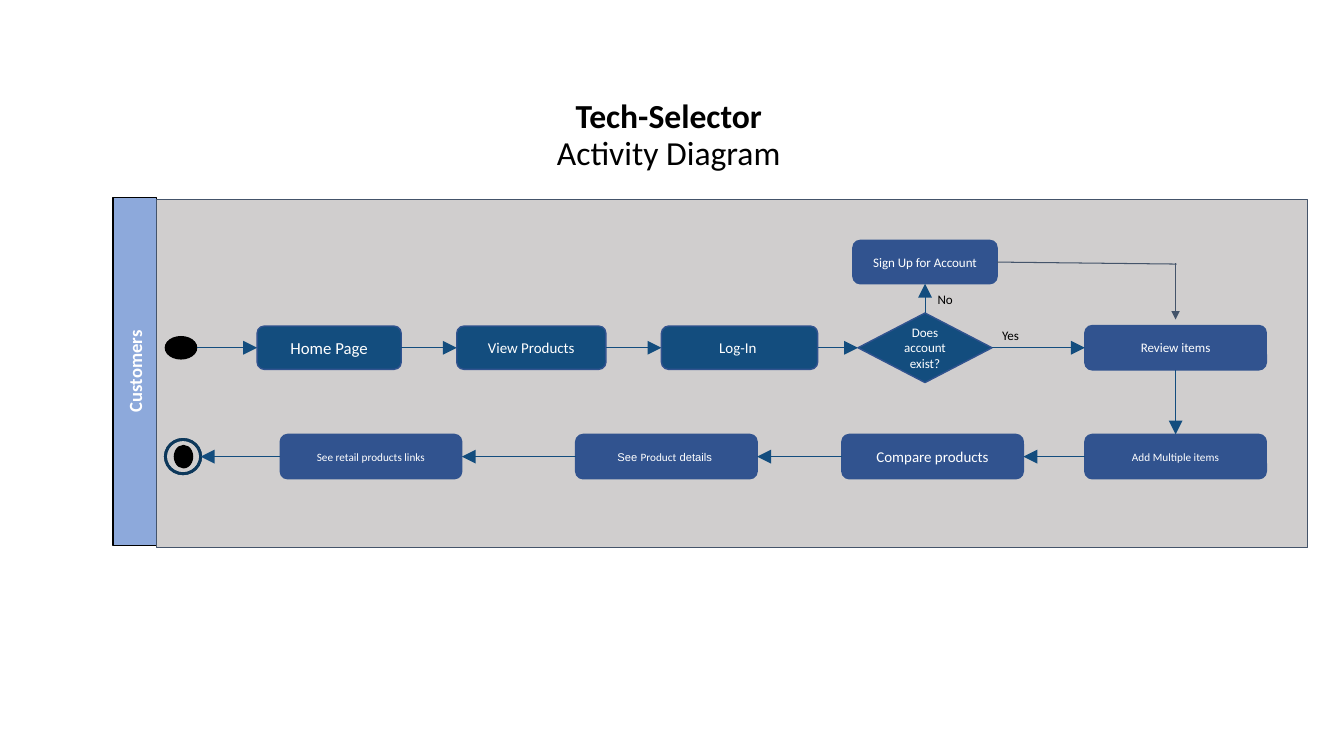
from lxml import etree
from pptx import Presentation
from pptx import util as u
from pptx.dml.color import RGBColor
from pptx.enum import shapes, text
from pptx.oxml import ns

Inches = u.Inches
Kind = shapes.MSO_SHAPE
Anchor = text.MSO_ANCHOR
DARK, BLUE, SLATE = "134D7E", "31538F", "44546A"
BLACK, WHITE = "000000", "FFFFFF"
TOP, LEFT, BOTTOM, RIGHT = range(4)


def color(code):
    """Turn a hex string into a colour."""
    return RGBColor.from_string(code)


def write(shape, runs, size=9.3, ink=WHITE, bold=False, font="Calibri",
          align=text.PP_ALIGN.CENTER, anchor=Anchor.MIDDLE, pad=(0.07, 0.03)):
    """Write a string, or (string, changes) runs, into a shape."""
    frame = shape.text_frame
    frame.word_wrap = True
    frame.auto_size = text.MSO_AUTO_SIZE.NONE
    frame.vertical_anchor = anchor
    frame.margin_left = frame.margin_right = Inches(pad[0])
    frame.margin_top = frame.margin_bottom = Inches(pad[1])
    para = frame.paragraphs[0]
    para.alignment = align
    for words, change in [(runs, {})] if isinstance(runs, str) else runs:
        if change.get("line"):
            para.add_line_break()
        run = para.add_run()
        run.text = words
        run.font.size = u.Pt(size)
        run.font.name = change.get("font", font)
        run.font.bold = change.get("bold", bold)
        run.font.color.rgb = color(ink)
    return para


class Chart:
    """Style and slide of the activity diagram."""

    def __init__(self, slide):
        """Keep the slide to draw on."""
        self.slide = slide

    def title(self, runs, *box):
        """Move the title placeholder and fill it."""
        head = self.slide.shapes.title
        head.left, head.top, head.width, head.height = map(Inches, box)
        para = write(head, runs, size=24, ink=BLACK,
                     anchor=Anchor.BOTTOM, pad=(0.09, 0.05))
        para.line_spacing = 0.9

    def shape(self, kind, x, y, w, h, fill, line=BLACK, weight=1):
        """Draw a filled and outlined preset shape."""
        item = self.slide.shapes.add_shape(kind, *map(Inches, (x, y, w, h)))
        item.shadow.inherit = False
        item.fill.solid()
        item.fill.fore_color.rgb = color(fill)
        item.line.color.rgb = color(line)
        item.line.width = u.Pt(weight)
        return item

    def step(self, words, x, mid, w=1.8, h=0.44, fill=BLUE, size=9.3,
             kind=Kind.ROUNDED_RECTANGLE):
        """Draw a step centred on the height of its row."""
        item = self.shape(kind, x, mid - h / 2, w, h, fill, BLUE)
        write(item, words, size=size)
        return item

    def label(self, words, x, y):
        """Put a branch label beside an arrow."""
        box = self.slide.shapes.add_textbox(*map(Inches, (x, y, 0.6, 0.43)))
        write(box, words, ink=BLACK, align=text.PP_ALIGN.LEFT,
              anchor=Anchor.BOTTOM, pad=(0.13, 0.13))

    def line(self, start, end, ink=DARK, head="lg"):
        """Draw a line, with an arrowhead of the given size if any."""
        item = self.slide.shapes.add_connector(
            shapes.MSO_CONNECTOR.STRAIGHT, *map(Inches, start + end))
        item.line.color.rgb = color(ink)
        item.line.width = u.Pt(0.75)
        props = item.line._get_or_add_ln()
        if head:
            etree.SubElement(props, ns.qn("a:tailEnd"),
                             type="triangle", w=head, len=head)
        etree.SubElement(props.getparent(), ns.qn("a:effectLst"))
        return item

    def link(self, first, out, last, into):
        """Join the sides of two steps with an arrow."""
        item = self.line((0, 0), (1, 1))
        item.begin_connect(first, out)
        item.end_connect(last, into)


deck = Presentation()
deck.slide_width, deck.slide_height = Inches(13.33), Inches(7.5)
chart = Chart(deck.slides.add_slide(deck.slide_layouts[5]))
chart.title([("Tech-Selector ", {"bold": True}),
             ("Activity Diagram ", {"line": True})], 3.5, 0.78, 6.34, 0.98)

# Swimlane
lane = chart.shape(Kind.RECTANGLE, -0.39, 3.47, 3.45, 0.43, "8DA9DB")
lane.rotation = 270
write(lane, "Customers", size=13.3, bold=True)
chart.shape(Kind.RECTANGLE, 1.55, 1.98, 11.42, 3.45, "D0CECE", SLATE, 0.75)

# Start and end marks
row, back = 3.45, 4.53
chart.shape(Kind.OVAL, 1.64, row - 0.11, 0.31, 0.22, BLACK)
chart.shape(Kind.OVAL, 1.73, back - 0.11, 0.18, 0.22, BLACK)
ring = chart.shape(Kind.DONUT, 1.64, back - 0.17, 0.35, 0.34, DARK, "0D385B", 2)
ring.adjustments[0] = 0

# Steps in the order of the flow
home = chart.step("Home Page", 2.55, row, 1.43, 0.43, DARK, 12)
view = chart.step("View Products", 4.53, row, 1.48, 0.43, DARK, 10.7)
login = chart.step("Log-In ", 6.56, row, 1.55, 0.43, DARK, 10.7)
check = chart.step("Does account exist?", 8.51, row, 1.33, 0.69, DARK,
                   kind=Kind.DIAMOND)
sign = chart.step("Sign Up for Account", 8.46, 2.6, 1.43, 0.43)
review = chart.step("Review items", 10.76, row)
add = chart.step("Add Multiple items", 10.76, back, size=8)
compare = chart.step("Compare products", 8.35, back, size=10.7)
detail = chart.step([("See ", {"font": "Arial"}), ("Product", {}),
                     (" details ", {"font": "Arial"})], 5.71, back, size=8)
retail = chart.step("See retail products links", 2.78, back, size=8)

# Arrows
chart.line((1.95, row), (2.55, row))
ahead = [home, view, login, check, review]
for first, last in zip(ahead, ahead[1:]):
    chart.link(first, RIGHT, last, LEFT)
chart.link(check, TOP, sign, BOTTOM)
chart.link(review, BOTTOM, add, TOP)
behind = [add, compare, detail, retail]
for first, last in zip(behind, behind[1:]):
    chart.link(first, LEFT, last, RIGHT)
chart.line((2.78, back), (1.99, back))
chart.line((9.89, 2.6), (11.67, 2.62), SLATE, None)
chart.line((11.66, 2.61), (11.66, 3.17), SLATE, "med")

chart.label("Yes", 9.81, 3.1)
chart.label("No", 9.17, 2.75)

deck.save("out.pptx")
